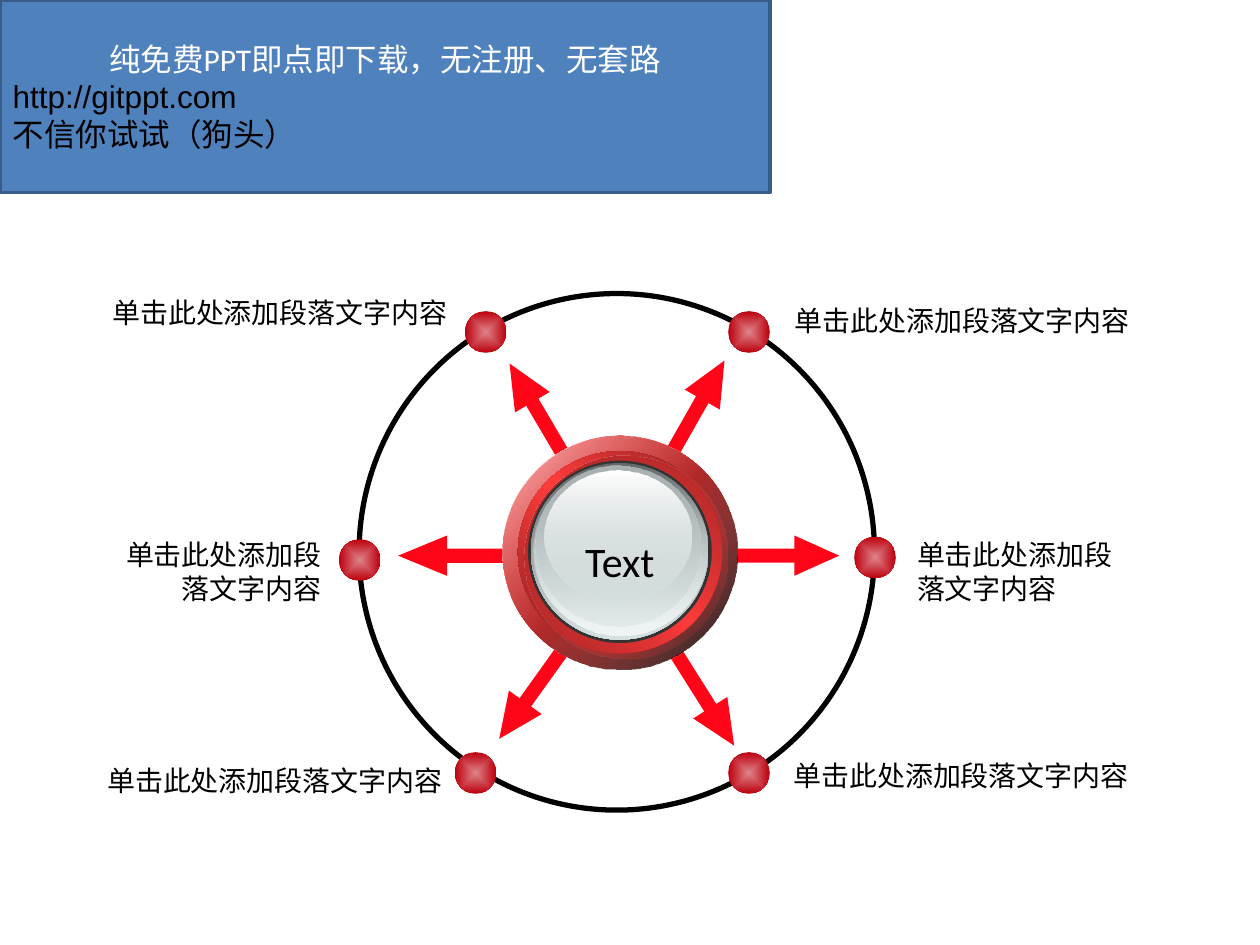
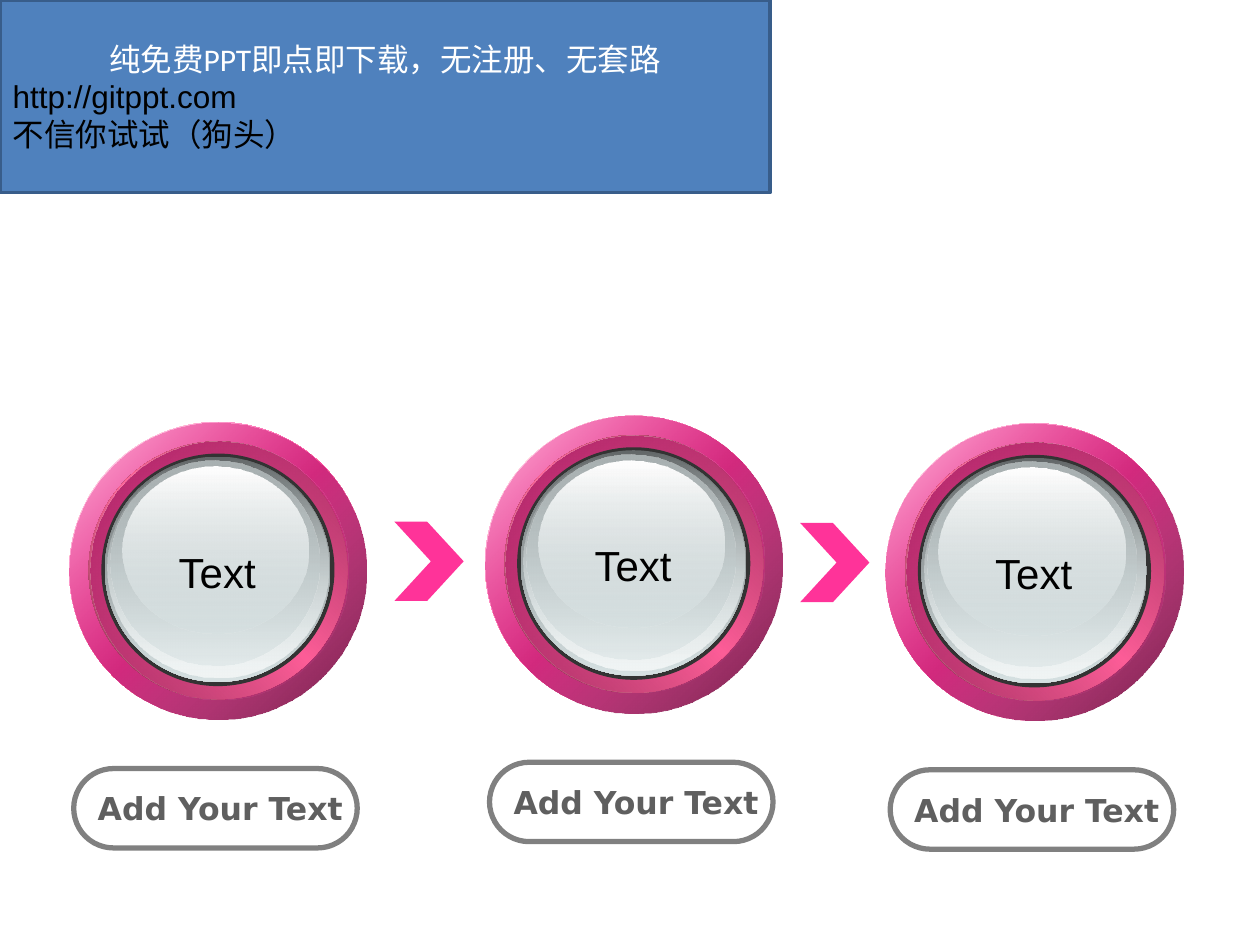
from dataclasses import dataclass, field

from lxml.etree import SubElement
from pptx import Presentation
from pptx.dml.color import RGBColor
from pptx.enum.shapes import MSO_SHAPE
from pptx.enum.text import MSO_ANCHOR, MSO_AUTO_SIZE, PP_ALIGN
from pptx.oxml.ns import qn
from pptx.util import Inches, Pt

# The slide is a grid of 100 columns by 75 rows
CELL = 0.1
COLUMNS, ROWS = 100, 75
LEFT, CENTER, RIGHT = PP_ALIGN.LEFT, PP_ALIGN.CENTER, PP_ALIGN.RIGHT
CJK = "Noto Sans CJK SC"


# ---- Theme -----------------------------------------------------------
@dataclass(frozen=True)
class TextStyle:
    name: str
    size: int
    color: str = "000000"
    bold: bool = False
    align: PP_ALIGN = LEFT


@dataclass(frozen=True)
class BallStyle:
    base: str
    shade: tuple
    rim: str
    rim_light: str
    inner: str
    sheen_at: tuple
    caption: TextStyle
    caption_at: tuple
    caption_width: float


@dataclass(frozen=True)
class Theme:
    banner_fill: str = "4F81BD"
    banner_line: str = "385D8A"
    spoke: str = "FF0517"
    orbit: str = "000000"
    dot: tuple = (("DE8389", 0), ("BC000D", 100))
    chevron: str = "FF3399"
    pill_line: str = "808080"
    glass_edge: str = "333333"
    banner: tuple = (
        TextStyle("Calibri", 18, "FFFFFF", align=CENTER),
        TextStyle("Arial", 18),
        TextStyle("Arial", 18),
    )
    label: TextStyle = TextStyle(CJK, 16)
    label_right: TextStyle = TextStyle(CJK, 16, align=RIGHT)
    pill: TextStyle = TextStyle("DejaVu Sans", 18, "5F5F5F", bold=True)
    red_ball: BallStyle = field(default_factory=lambda: BallStyle(
        "FF3B3B", ("000000", 100, 90), "8A2020", "FF3B3B", "A22525",
        (9.1, 8.6), TextStyle("Calibri", 24, align=CENTER), (5.4, 7.4), 7.8))
    pink_ball: BallStyle = field(default_factory=lambda: BallStyle(
        "FF3399", ("761847", 100), "8A3753", "FF6699", "A22061",
        (7, 6.5), TextStyle("Arial", 24), (7.7, 9.35), 8.5))


def cells(*values):
    return [Inches(value * CELL) for value in values]


# ---- Builder ---------------------------------------------------------
class Deck:
    def __init__(self, theme):
        self.theme = theme
        self.presentation = Presentation()
        self.presentation.slide_width, self.presentation.slide_height = cells(COLUMNS, ROWS)
        self.slide = None

    def new_slide(self, banner_lines):
        layout = self.presentation.slide_layouts.get_by_name("Title Only")
        self.slide = self.presentation.slides.add_slide(layout)
        banner = self.slide.shapes.title
        banner.left, banner.top, banner.width, banner.height = cells(0, 0, 61.1, 15.3)
        self.paint(banner, self.theme.banner_fill, (self.theme.banner_line, 2))
        self.set_text(banner, banner_lines, self.theme.banner)

    def paint(self, shape, fill=None, line=None):
        """fill: None, a colour, or a gradient as (stops, angle)."""
        shape.shadow.inherit = False
        if fill is None:
            shape.fill.background()
        elif isinstance(fill, str):
            shape.fill.solid()
            shape.fill.fore_color.rgb = RGBColor.from_string(fill)
        else:
            self.gradient(shape, *fill)
        if line:
            color, width = line
            shape.line.color.rgb = RGBColor.from_string(color)
            shape.line.width = Pt(width)
        else:
            shape.line.fill.background()

    def gradient(self, shape, stops, angle=None):
        """Linear at an angle, or from the centre outwards without one."""
        shape.fill.gradient()
        grad = shape._element.spPr.find(qn("a:gradFill"))
        for child in list(grad):
            grad.remove(child)
        stop_list = SubElement(grad, qn("a:gsLst"))
        for color, place, *alpha in stops:
            stop = SubElement(stop_list, qn("a:gs"), pos=str(place * 1000))
            tone = SubElement(stop, qn("a:srgbClr"), val=color)
            for share in alpha:
                SubElement(tone, qn("a:alpha"), val=str(share * 1000))
        if angle is None:
            centre = SubElement(grad, qn("a:path"), {"path": "rect"})
            SubElement(centre, qn("a:fillToRect"), dict.fromkeys("ltrb", "50000"))
        else:
            SubElement(grad, qn("a:lin"), ang=str(angle * 60000), scaled="1")

    def set_text(self, shape, lines, styles, **frame_format):
        frame = shape.text_frame
        frame_values = {"word_wrap": True, "auto_size": MSO_AUTO_SIZE.NONE,
                        "vertical_anchor": MSO_ANCHOR.MIDDLE} | frame_format
        for key, value in frame_values.items():
            setattr(frame, key, value)
        for number, (line, style) in enumerate(zip(lines, styles)):
            paragraph = frame.add_paragraph() if number else frame.paragraphs[0]
            paragraph.alignment = style.align
            run = paragraph.add_run()
            run.text = line
            font_values = {"name": style.name, "size": Pt(style.size), "bold": style.bold}
            for key, value in font_values.items():
                setattr(run.font, key, value)
            run.font.color.rgb = RGBColor.from_string(style.color)
            SubElement(run._r.get_or_add_rPr(), qn("a:ea"), typeface=CJK)

    def shape(self, kind, place, fill=None, line=None, adjustments=(), rotation=0):
        shape = self.slide.shapes.add_shape(kind, *cells(*place))
        for number, value in enumerate(adjustments):
            shape.adjustments[number] = value
        shape.rotation = rotation
        self.paint(shape, fill, line)
        return shape

    def text(self, place, words, style, wrap=True):
        box = self.slide.shapes.add_textbox(*cells(*place))
        self.set_text(box, [words], [style], word_wrap=wrap,
                      vertical_anchor=MSO_ANCHOR.TOP,
                      auto_size=MSO_AUTO_SIZE.SHAPE_TO_FIT_TEXT)

    def spoke(self, left, top, length, angle):
        thickness = 3.2
        head = 1.211 if length > 9 else 1.111
        self.shape(MSO_SHAPE.RIGHT_ARROW, (left, top, length, thickness),
                   self.theme.spoke, adjustments=(0.352, head), rotation=angle)

    def dot(self, left, top):
        self.shape(MSO_SHAPE.OVAL, (left, top, 3.3, 3.3), (self.theme.dot,))

    def chevron(self, left, top):
        width, height, notch = 5.5, 6.3, 2.9
        outline = [(0, 0), (width - notch, 0), (width, height / 2),
                   (width - notch, height), (0, height), (notch, height / 2)]
        points = [cells(left + x, top + y) for x, y in outline]
        builder = self.slide.shapes.build_freeform(*points[0])
        builder.add_line_segments(points[1:], close=True)
        self.paint(builder.convert_to_shape(), self.theme.chevron)

    def pill(self, left, top, words):
        pill = self.shape(MSO_SHAPE.ROUNDED_RECTANGLE, (left, top, 22.5, 6.3),
                          line=(self.theme.pill_line, 3), adjustments=(0.5,))
        self.set_text(pill, [words], [self.theme.pill], word_wrap=False)

    def ball(self, left, top, width, height, style, words):
        white, base = "FFFFFF", style.base
        # Each layer: offset and size in percent of the ball, then its fill
        layers = [
            ((0, 0), (100, 100), (((white, 0), (base, 50), (white, 100)), 45)),
            ((0, 0), (100, 100), (((base, 0, 32), style.shade), 45)),
            ((6.5, 6.5), (87, 86.7),
             (((style.rim, 0), (style.rim_light, 50), (style.rim, 100)), 315)),
            (style.sheen_at, (87, 86.7), (((style.inner, 0), (base, 100, 0)), 45)),
            ((10.8, 10.6), (78.4, 78.2), self.theme.glass_edge),
            ((12, 11.6), (75.8, 75.8), ((("636869", 0), ("D6E1E2", 100)), 90)),
            ((13, 12.1), (74.2, 73.7), ((("D6E1E2", 0, 0), ("F1F5F5", 100)), 90)),
            ((13.9, 12.9), (70.4, 69), ((("AAB2B3", 0), ("D6E1E2", 100, 48)), 90)),
            ((17.9, 15), (62.6, 56.2), (((white, 0), ("D6E1E2", 100, 38)), 90)),
        ]
        for (x, y), (w, h), fill in layers:
            place = (left + width * x / 100, top + height * y / 100,
                     width * w / 100, height * h / 100)
            self.shape(MSO_SHAPE.OVAL, place, fill)
        x, y = style.caption_at
        self.text((left + x, top + y, style.caption_width, 5),
                  words, style.caption, wrap=False)


# ---- Content ---------------------------------------------------------
BANNER = ["纯免费PPT即点即下载，无注册、无套路", "http://gitppt.com", "不信你试试（狗头）"]
LABEL = "单击此处添加段落文字内容"

SPOKES = [  # left, top, length, angle
    (51, 30.8, 8.7, 299.6), (51.6, 53.9, 8.7, 57.8), (38.3, 31, 8.7, 239.5),
    (37.8, 53.5, 8.7, 125.6), (57.9, 42.5, 8.7, 0), (31.6, 42.5, 9.4, 180),
]
LABELS_RIGHT = [  # left, top, width, height, wraps
    (62.1, 23.6, 29.7, 3.7, True),
    (71.8, 42.2, 19.1, 6.4, True),
    (62, 59.7, 28.6, 3.7, False),
]
LABELS_LEFT = [
    (7.4, 23, 29.1, 3.7, True),
    (7.4, 42.2, 19.1, 6.4, True),
    (7.5, 60.1, 28.6, 3.7, False),
]
DOTS = [(26.9, 42.8), (36.9, 24.7), (57.8, 24.7),
        (36.1, 59.7), (57.8, 59.7), (67.8, 42.6)]
STEPS = [(5.5, 33.5), (38.5, 33), (70.3, 33.6)]
STEP_ARROWS = [(31.3, 41.4), (63.5, 41.5)]


def build_orbit_slide(deck):
    deck.new_slide(BANNER)
    for spoke in SPOKES:
        deck.spoke(*spoke)
    deck.shape(MSO_SHAPE.OVAL, (28.5, 23.3, 40.9, 41), line=(deck.theme.orbit, 3))
    for labels, style in ((LABELS_RIGHT, deck.theme.label),
                          (LABELS_LEFT, deck.theme.label_right)):
        for *place, wraps in labels:
            deck.text(place, LABEL, style, wraps)
    for dot in DOTS:
        deck.dot(*dot)
    deck.ball(39.9, 34.6, 18.6, 18.5, deck.theme.red_ball, "Text")


def build_steps_slide(deck):
    deck.new_slide(BANNER)
    for left, top in STEPS:
        deck.pill(left + 0.35, top + 27.5, "Add Your Text")
        deck.ball(left, top, 23.6, 23.6, deck.theme.pink_ball, "Text")
    for arrow in STEP_ARROWS:
        deck.chevron(*arrow)


def main():
    deck = Deck(Theme())
    build_orbit_slide(deck)
    build_steps_slide(deck)
    deck.presentation.save("out.pptx")


if __name__ == "__main__":
    main()
